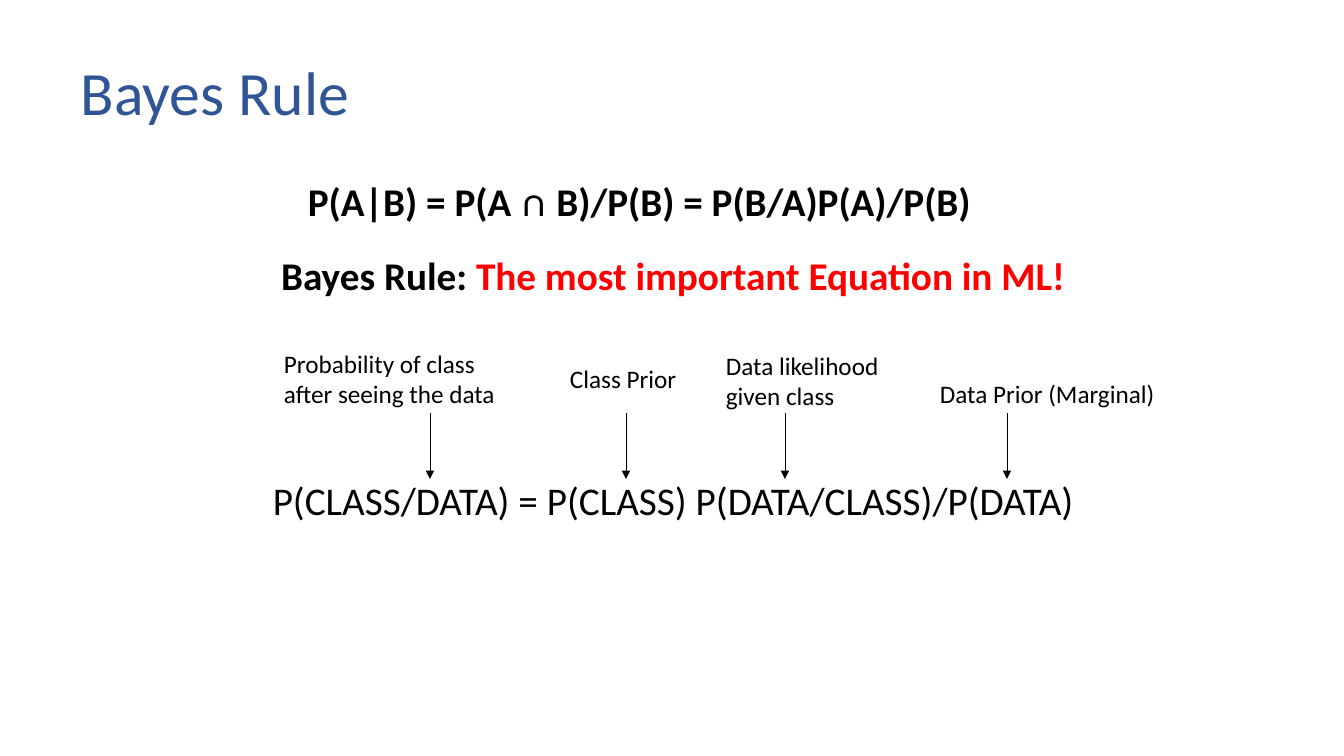
import pptx
import pptx.dml.color
import pptx.enum.shapes
import pptx.enum.text
import pptx.oxml
import pptx.oxml.ns
import pptx.util

# Content: text runs are (text, colour name, bold); boxes are x, y, w, h in px
TITLE = [("Bayes Rule", "title", False)]
CONDITIONAL = [("P(A|B) = P(A ∩ B)/P(B) = P(B/A)P(A)/P(B)", "text", True)]
HEADLINE = [("Bayes Rule: ", "text", True),
            ("The most important Equation in ML!", "accent", True)]
FORMULA = [("P(CLASS/DATA) = P(CLASS) P(DATA/CLASS)/P(DATA)", "text", False)]
TERMS = [  # label, box, x of its arrow
    ("Probability of class after seeing the data", (274, 343, 238, 72), 430),
    ("Class Prior", (560, 358, 138, 40), 626),
    ("Data likelihood given class", (716, 345, 197, 72), 785),
    ("Data Prior (Marginal)", (930, 373, 250, 40), 1007),
]

THEME = {
    "font": "Calibri",
    "title": "2F5597", "text": "000000", "accent": "FF0000",
    "title_size": 44, "equation_size": 28, "label_size": 18,
    "arrow_width": 0.5,
}

# Geometry
SLIDE_W, SLIDE_H = 1344, 756
BODY_X, BODY_W, LINE_H = 42, 1262, 54
HEADLINE_Y, FORMULA_Y = 252, 477
ARROW_TOP, ARROW_BOTTOM = 413, 479


def px(n):
    return pptx.util.Emu(round(n * 914400 / 100.8))


def color(name):
    return pptx.dml.color.RGBColor.from_string(THEME[name])


def add_text(s, runs, box, size, align="LEFT", anchor="TOP", spacing=1.0):
    tf = s.shapes.add_textbox(*map(px, box)).text_frame
    tf.word_wrap = True
    tf.vertical_anchor = pptx.enum.text.MSO_ANCHOR[anchor]
    p = tf.paragraphs[0]
    p.alignment = pptx.enum.text.PP_ALIGN[align]
    p.line_spacing = spacing
    for text, color_name, bold in runs:
        r = p.add_run()
        r.text = text
        r.font.name = THEME["font"]
        r.font.size = pptx.util.Pt(THEME[size])
        r.font.bold = bold
        r.font.color.rgb = color(color_name)


def add_arrow(s, x):
    line = s.shapes.add_connector(
        pptx.enum.shapes.MSO_CONNECTOR.STRAIGHT,
        px(x), px(ARROW_TOP), px(x), px(ARROW_BOTTOM))
    line.line.color.rgb = color("text")
    line.line.width = pptx.util.Pt(THEME["arrow_width"])
    sp_pr = line._element.spPr
    ln = sp_pr.find(pptx.oxml.ns.qn("a:ln"))
    ns = pptx.oxml.ns.nsdecls("a")
    ln.append(pptx.oxml.parse_xml(f'<a:tailEnd {ns} type="triangle"/>'))
    sp_pr.append(pptx.oxml.parse_xml(f"<a:effectLst {ns}/>"))


def main():
    prs = pptx.Presentation()
    prs.slide_width, prs.slide_height = px(SLIDE_W), px(SLIDE_H)
    s = prs.slides.add_slide(prs.slide_layouts[6])

    # Title and equations
    add_text(s, TITLE, (71, 40, 1180, 111), "title_size",
             anchor="MIDDLE", spacing=0.9)
    add_text(s, CONDITIONAL, (298, 172, 747, 57), "equation_size")
    for runs, y in ((HEADLINE, HEADLINE_Y), (FORMULA, FORMULA_Y)):
        add_text(s, runs, (BODY_X, y, BODY_W, LINE_H), "equation_size",
                 align="CENTER", spacing=0.9)

    # Labelled arrows to the terms of the formula
    for label, box, arrow_x in TERMS:
        add_text(s, [(label, "text", False)], box, "label_size")
        add_arrow(s, arrow_x)

    prs.save("out.pptx")


if __name__ == "__main__":
    main()
